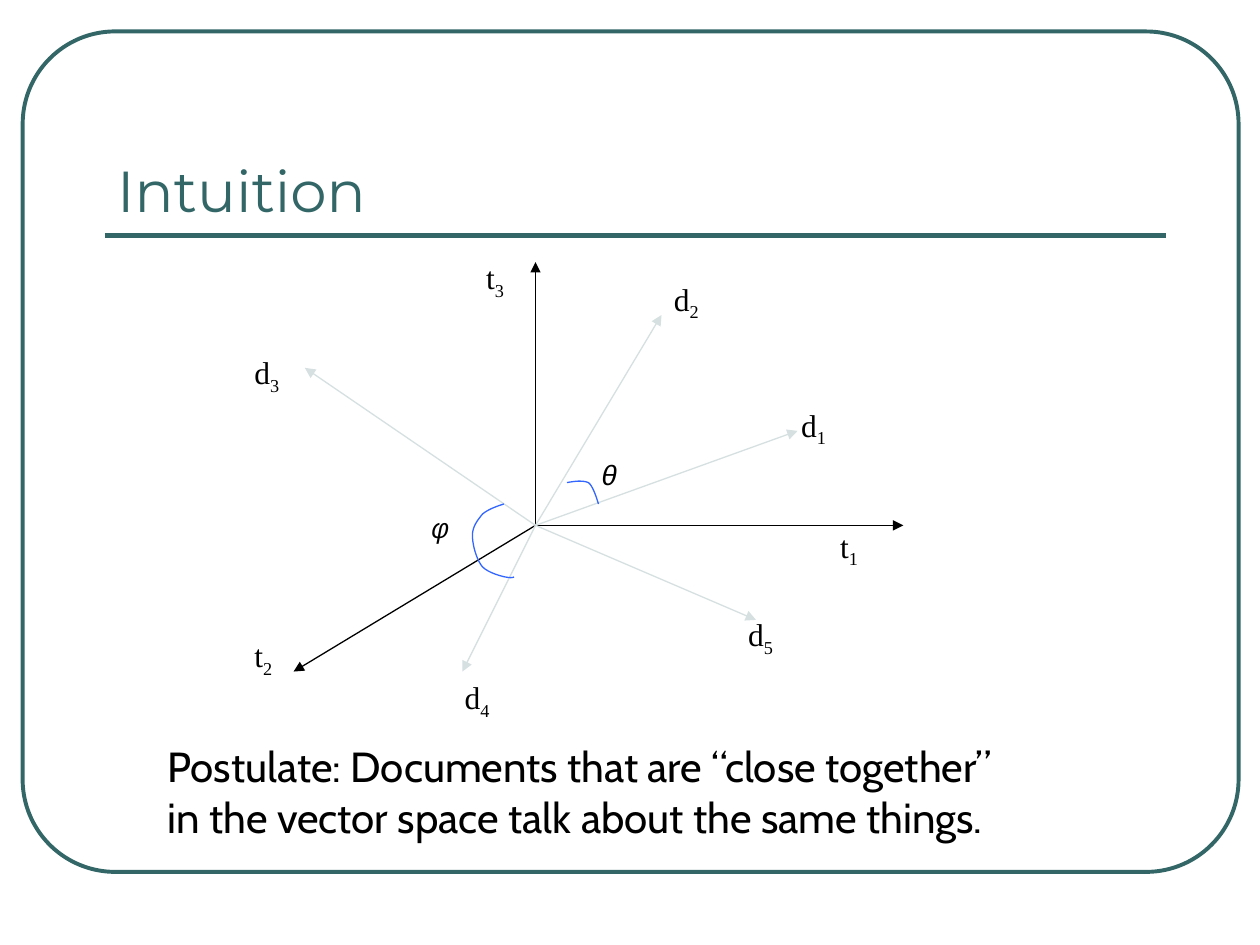
from lxml.etree import SubElement
from pptx import Presentation
from pptx.dml.color import RGBColor
from pptx.enum.shapes import MSO_CONNECTOR, MSO_SHAPE
from pptx.enum.text import MSO_ANCHOR, PP_ALIGN
from pptx.oxml.ns import qn
from pptx.util import Inches, Pt

TEAL, BLACK, PALE, BLUE = "336666", "000000", "D6E0E0", "3366FF"
TITLE_FONT = {"name": "Montserrat", "size": Pt(33)}
POSTULATE_FONT = {"name": "Cabin", "size": Pt(24)}
VECTOR_FONT = {"name": "Times New Roman", "size": Pt(18)}
ANGLE_FONT = {"name": "Courier New", "size": Pt(16), "italic": True}


def draw_line(shape, color, width):
    shape.line.color.rgb = RGBColor.from_string(color)
    shape.line.width = Pt(width)


def add_run(paragraph, text, font_format, color=BLACK):
    run = paragraph.add_run()
    run.text = text
    for attribute, value in font_format.items():
        setattr(run.font, attribute, value)
    run.font.color.rgb = RGBColor.from_string(color)
    return run


prs = Presentation()
prs.slide_width, prs.slide_height = Inches(10), Inches(7.5)
slide = prs.slides.add_slide(prs.slide_layouts[5])
shapes = slide.shapes

# Frame and title
frame = shapes.add_shape(MSO_SHAPE.ROUNDED_RECTANGLE, Inches(0.18), Inches(0.25),
                         Inches(9.65), Inches(6.67))
frame.adjustments[0] = 0.11
frame.fill.background()
frame.shadow.inherit = False
draw_line(frame, TEAL, 2.25)

title = shapes.title
title.left, title.top = Inches(0.83), Inches(0.58)
title.width, title.height = Inches(8.42), Inches(1.25)
title.text_frame.vertical_anchor = MSO_ANCHOR.BOTTOM
heading = title.text_frame.paragraphs[0]
heading.alignment = PP_ALIGN.LEFT
add_run(heading, "Intuition", TITLE_FONT, TEAL)

# Title rule, term axes and document vectors: start, end, color, width, arrow
origin = (4.25, 4.17)
axis_tips = [(7.17, 4.17), (4.25, 2.08), (2.33, 5.33)]
document_tips = [(6.33, 3.42), (6, 4.92), (5.25, 2.5), (3.67, 5.33), (2.42, 2.92)]
lines = [((0.83, 1.87), (9.25, 1.87), TEAL, 3, False)]
lines += [(origin, tip, BLACK, 0.75, True) for tip in axis_tips]
lines += [(origin, tip, PALE, 0.75, True) for tip in document_tips]
for start, end, color, width, has_arrow in lines:
    line = shapes.add_connector(MSO_CONNECTOR.STRAIGHT,
                                *[Inches(value) for value in start + end])
    draw_line(line, color, width)
    if has_arrow:
        SubElement(line.line._get_or_add_ln(), qn("a:tailEnd"), type="triangle")
    SubElement(line._element.spPr, qn("a:effectLst"))

# Angle arcs: a start point, then Bézier segments of two controls and an end
theta_arc = [(4.5, 3.83), (4.56, 3.82), (4.62, 3.81), (4.67, 3.83),
             (4.71, 3.86), (4.74, 3.97), (4.75, 4)]
phi_arc = [(4, 4), (3.94, 4.02), (3.88, 4.04), (3.83, 4.08),
           (3.79, 4.13), (3.75, 4.18), (3.75, 4.25),
           (3.75, 4.32), (3.78, 4.44), (3.83, 4.5),
           (3.89, 4.56), (4.06, 4.6), (4.08, 4.58)]
STEPS = 10
for arc in (theta_arc, phi_arc):
    curve = []
    for first in range(0, len(arc) - 1, 3):
        segment = arc[first:first + 4]
        for step in range(1, STEPS + 1):
            t = step / STEPS
            weights = ((1 - t) ** 3, 3 * t * (1 - t) ** 2, 3 * t ** 2 * (1 - t), t ** 3)
            curve.append([Inches(sum(w * point[axis] for w, point in zip(weights, segment)))
                          for axis in (0, 1)])
    builder = shapes.build_freeform(Inches(arc[0][0]), Inches(arc[0][1]))
    builder.add_line_segments(curve, close=False)
    angle = builder.convert_to_shape()
    angle.fill.background()
    angle.shadow.inherit = False
    draw_line(angle, BLUE, 0.75)

# Texts: lines, subscript, left, top, width, height, font
texts = [
    (["Postulate: Documents that are “close together”",
      "in the vector space talk about the same things."],
     "", 1.23, 5.83, 7.62, 0.9, POSTULATE_FONT),
    (["θ"], "", 4.67, 3.58, 0.33, 0.37, ANGLE_FONT),
    (["φ"], "", 3.33, 4, 0.33, 0.37, ANGLE_FONT),
]
vector_labels = [
    ("t1", 6.57, 4.13), ("t2", 1.92, 5), ("t3", 3.76, 2),
    ("d1", 6.26, 3.17), ("d2", 5.25, 2.17), ("d3", 1.92, 2.75),
    ("d4", 3.59, 5.33), ("d5", 5.84, 4.83),
]
label_widths = {"t": 0.34, "d": 0.4}
texts += [([letter], index, left, top, label_widths[letter], 0.44, VECTOR_FONT)
          for (letter, index), left, top in vector_labels]
for text_lines, subscript, left, top, width, height, font_format in texts:
    box = shapes.add_textbox(Inches(left), Inches(top), Inches(width), Inches(height))
    frame_text = box.text_frame
    frame_text.word_wrap = False
    for number, text in enumerate(text_lines):
        paragraph = frame_text.add_paragraph() if number else frame_text.paragraphs[0]
        add_run(paragraph, text, font_format)
    if subscript:
        index_run = add_run(paragraph, subscript, font_format)
        index_run._r.get_or_add_rPr().set("baseline", "-25000")

prs.save("out.pptx")
